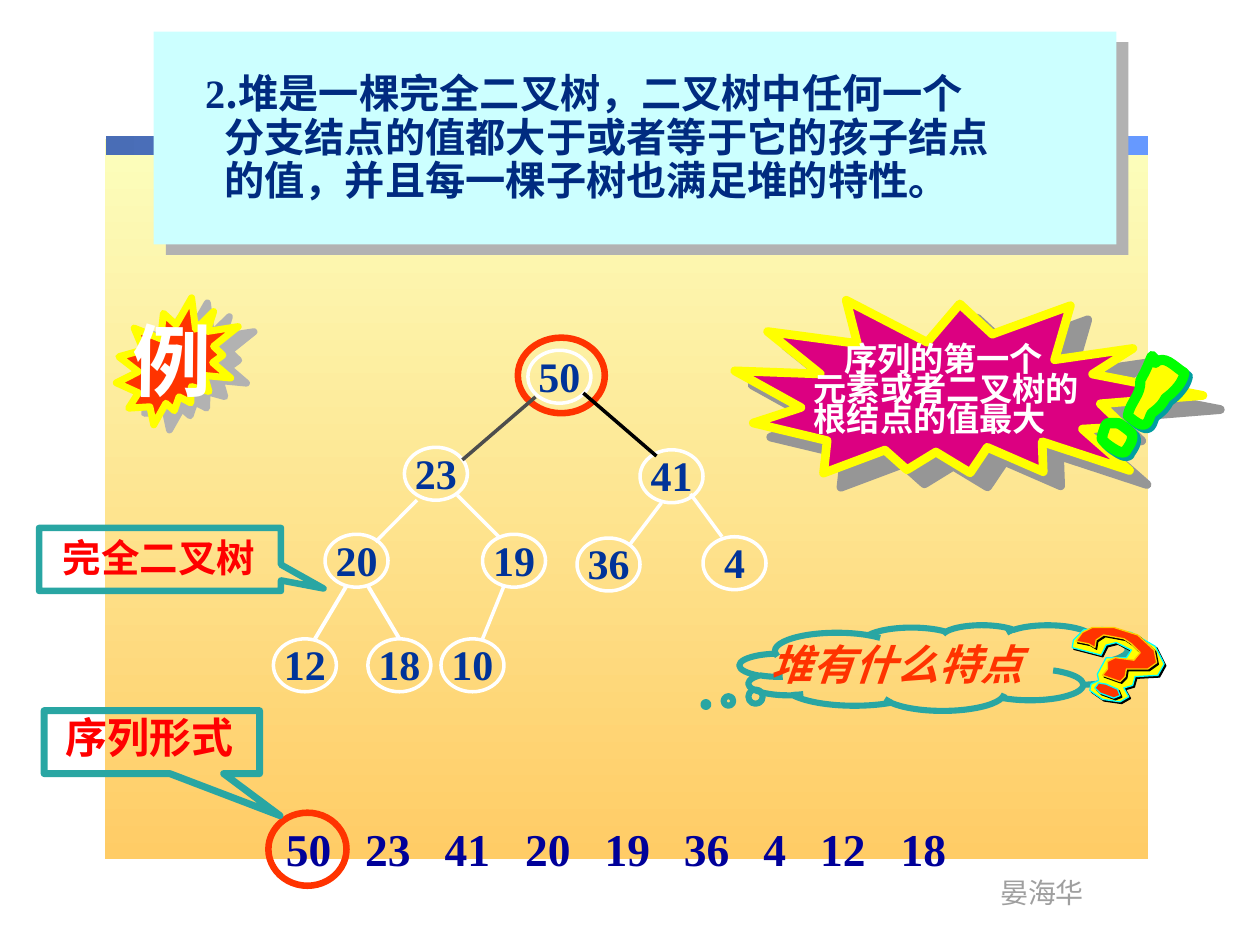
from dataclasses import dataclass
from typing import NamedTuple

from lxml import etree
from pptx import Presentation
from pptx.dml.color import RGBColor
from pptx.enum.shapes import MSO_CONNECTOR, MSO_SHAPE
from pptx.enum.text import PP_ALIGN
from pptx.oxml.ns import qn
from pptx.util import Inches, Pt

RECT = MSO_SHAPE.RECTANGLE
OVAL = MSO_SHAPE.OVAL
CLOUD = MSO_SHAPE.CLOUD_CALLOUT
WEDGE = MSO_SHAPE.RECTANGULAR_CALLOUT
BURST = MSO_SHAPE.EXPLOSION2
STRAIGHT = MSO_CONNECTOR.STRAIGHT
LEFT, MIDDLE = PP_ALIGN.LEFT, PP_ALIGN.CENTER

WHITE = RGBColor(255, 255, 255)
BLACK = RGBColor(0, 0, 0)
CREAM = RGBColor(0xFC, 0xFE, 0xBC)
SAND = RGBColor(0xFF, 0xCC, 0x66)
DENIM = RGBColor(0x49, 0x6D, 0xB6)
SKY = RGBColor(0x66, 0x99, 0xFF)
ICE = RGBColor(0xCC, 0xFF, 0xFF)
SILVER = RGBColor(0xB2, 0xB2, 0xB2)
GRAY = RGBColor(0x96, 0x96, 0x96)
PALE = RGBColor(0x9F, 0x9F, 0x9F)
COAL = RGBColor(0x4D, 0x4D, 0x4D)
NAVY = RGBColor(0, 0x2B, 0x80)
INK = RGBColor(0, 0, 0x99)
BLUE = RGBColor(0, 0x33, 0x99)
FLAME = RGBColor(0xFF, 0x33, 0)
RED = RGBColor(255, 0, 0)
TEAL = RGBColor(0x29, 0xA6, 0xA3)
DEEP = RGBColor(0, 0x9E, 0xA1)
YELLOW = RGBColor(255, 255, 0)
GOLD = RGBColor(0xFF, 0xCC, 0)
CYAN = RGBColor(0, 255, 255)
GREEN = RGBColor(0, 255, 0)
PINK = RGBColor(0xDC, 0, 0x81)

TIMES, NARROW, NOTO = "Times New Roman", "Arial Narrow", "Noto Sans CJK SC"


class Shade(NamedTuple):
    color: RGBColor
    gap: float
    angle: int


class Node(NamedTuple):
    label: str
    x: float
    y: float


class Edge(NamedTuple):
    x1: float
    y1: float
    x2: float
    y2: float
    color: RGBColor = WHITE
    width: float = 2


@dataclass
class Font:
    size: float
    color: RGBColor
    name: str = TIMES
    bold: bool = True
    slant: bool = False
    shade: bool = False


@dataclass
class Glyph:
    points: list
    fill: RGBColor
    line: RGBColor
    width: float
    shade: Shade
    curved: bool = False


def add_shade(props, shade: Shade):
    box = props.find(qn("a:effectLst"))
    if box is None:
        box = etree.Element(qn("a:effectLst"))
        props.find(qn("a:solidFill")).addnext(box)
    cast = etree.SubElement(box, qn("a:outerShdw"), blurRad="0", dist=str(Pt(shade.gap)),
                            dir=str(shade.angle * 60000), algn="ctr", rotWithShape="0")
    etree.SubElement(cast, qn("a:srgbClr"), val=str(shade.color))


def paint(shape, fill=None, line=None, width=1.0, shade=None):
    shape.shadow.inherit = False
    if fill is None:
        shape.fill.background()
    elif isinstance(fill, tuple) and not isinstance(fill, RGBColor):
        angle, *colors = fill
        shape.fill.gradient()
        shape.fill.gradient_angle = angle
        for stop, color in zip(shape.fill.gradient_stops, colors):
            stop.color.rgb = color
    else:
        shape.fill.solid()
        shape.fill.fore_color.rgb = fill
    if line is None:
        shape.line.fill.background()
    else:
        shape.line.color.rgb = line
        shape.line.width = Pt(width)
    if shade:
        add_shade(shape._element.spPr, shade)


def add_form(kind, at, fill=None, line=None, width=1.0, shade=None, turn=0.0, adjust=()):
    shape = slide.shapes.add_shape(kind, *map(Inches, at))
    for i, value in enumerate(adjust):
        shape.adjustments[i] = value
    shape.rotation = turn
    paint(shape, fill, line, width, shade)


def add_text(at, lines, font: Font, wrap=True, space=None, indents=(), align=LEFT,
             tabs=(), turn=0.0):
    box = slide.shapes.add_textbox(*map(Inches, at))
    box.rotation = turn
    frame = box.text_frame
    frame.word_wrap = wrap
    for i, line in enumerate(lines):
        para = frame.add_paragraph() if i else frame.paragraphs[0]
        para.alignment = align
        para.line_spacing = space
        props = para._p.get_or_add_pPr()
        if indents:
            props.set("marL", str(Inches(indents[i])))
            props.set("indent", "0")
        if tabs:
            stops = etree.SubElement(props, qn("a:tabLst"))
            for stop in tabs:
                etree.SubElement(stops, qn("a:tab"), pos=str(Inches(stop)), algn="l")
        for text, name in line:
            run = para.add_run()
            run.text = text
            run.font.size = Pt(font.size)
            run.font.bold = font.bold
            run.font.italic = font.slant
            run.font.color.rgb = font.color
            run.font.name = name or font.name
            if font.shade:
                add_shade(run._r.get_or_add_rPr(), Shade(BLACK, 2, 45))


def add_edge(edge: Edge):
    line = slide.shapes.add_connector(STRAIGHT, *map(Inches, edge[:4]))
    line.line.color.rgb = edge.color
    line.line.width = Pt(edge.width)
    etree.SubElement(line._element.spPr, qn("a:effectLst"))


def bend(points, steps=8):
    out = [points[0]]
    for i in range(0, len(points) - 1, 3):
        a, b, c, d = points[i:i + 4]
        for t in (n / steps for n in range(1, steps + 1)):
            u = 1 - t
            out.append(tuple(u**3 * p + 3 * u * u * t * q + 3 * u * t * t * r + t**3 * s
                             for p, q, r, s in zip(a, b, c, d)))
    return out


def add_glyph(glyph: Glyph):
    points = bend(glyph.points) if glyph.curved else glyph.points
    start, *rest = [(Inches(x), Inches(y)) for x, y in points]
    pen = slide.shapes.build_freeform(*start, scale=1.0)
    pen.add_line_segments(rest, close=True)
    paint(pen.convert_to_shape(), glyph.fill, glyph.line, glyph.width, glyph.shade)


DROP, GLOW = Shade(BLACK, 1.4, 45), Shade(DEEP, 2.8, 45)
QUERY = [
    Glyph([(8.78, 5.12), (8.86, 5.1), (8.98, 5.16), (8.94, 5.22), (8.78, 5.22), (8.71, 5.35),
           (8.72, 5.4), (8.66, 5.43), (8.65, 5.48), (8.75, 5.55), (8.89, 5.57), (8.96, 5.53),
           (8.92, 5.46), (8.99, 5.44), (9.01, 5.37), (9.19, 5.36), (9.24, 5.27), (9.17, 5.13),
           (8.98, 5.02), (8.75, 4.98), (8.6, 5), (8.52, 5.08), (8.51, 5.14), (8.74, 5.2)],
          YELLOW, CYAN, 0.75, DROP),
    Glyph([(8.54, 5.09), (8.64, 5.11), (8.69, 5.14), (8.7, 5.08), (8.76, 5.04), (8.92, 5.07),
           (8.98, 5.11), (9.05, 5.18), (9, 5.24), (8.85, 5.22), (8.79, 5.25), (8.79, 5.31),
           (8.75, 5.36), (8.89, 5.41), (8.93, 5.37), (8.94, 5.31), (9.03, 5.31), (9.11, 5.31),
           (9.18, 5.26), (9.16, 5.16), (9.03, 5.04), (8.84, 4.98), (8.67, 4.98), (8.59, 5.02)],
          FLAME, GOLD, 0.75, DROP),
    Glyph([(8.78, 5.43), (8.72, 5.42), (8.69, 5.46), (8.73, 5.5), (8.84, 5.54), (8.89, 5.52),
           (8.87, 5.47)], FLAME, CYAN, 0.75, DROP)]
BANG = [
    Glyph([(9.17, 2.88), (9.24, 2.81), (9.32, 2.91), (9.4, 2.96), (9.39, 3.02), (9.35, 3.07),
           (9.31, 3.11), (9.29, 3.13), (9.25, 3.16), (9.25, 3.16), (9.24, 3.18), (9.22, 3.21),
           (9.2, 3.23), (9.18, 3.25), (9.14, 3.28), (9.14, 3.28), (9.12, 3.31), (9.12, 3.36),
           (9.08, 3.37), (9.04, 3.38), (8.98, 3.32), (8.95, 3.3), (8.97, 3.19), (9.06, 3.13),
           (9.05, 3.02), (9.16, 2.83), (9.13, 2.77), (9.17, 2.88)],
          YELLOW, GREEN, 5.75, GLOW, True),
    Glyph([(8.88, 3.36), (8.76, 3.36), (8.79, 3.34), (8.75, 3.45), (8.75, 3.47), (8.74, 3.48),
           (8.75, 3.49), (8.77, 3.52), (8.82, 3.55), (8.82, 3.55), (8.85, 3.57), (8.88, 3.59),
           (8.91, 3.59), (8.93, 3.59), (8.94, 3.58), (8.94, 3.57), (8.97, 3.53), (9, 3.48),
           (8.98, 3.44), (8.97, 3.42), (8.88, 3.36), (8.88, 3.36)],
          YELLOW, GREEN, 6, GLOW, True)]
NODES = [Node("50", 4.19, 2.78), Node("23", 3.21, 3.55), Node("41", 5.08, 3.57),
         Node("20", 2.58, 4.24), Node("19", 3.83, 4.24), Node("36", 4.58, 4.27),
         Node("4", 5.58, 4.26), Node("12", 2.17, 5.07), Node("18", 2.92, 5.07),
         Node("10", 3.5, 5.07)]
EDGES = [Edge(4.25, 3.15, 3.67, 3.65, COAL), Edge(4.63, 3.12, 5.21, 3.62, BLACK),
         Edge(3.31, 3.97, 2.98, 4.3), Edge(3.63, 3.93, 3.96, 4.26),
         Edge(2.75, 4.65, 2.5, 5.07, width=2.25), Edge(2.92, 4.65, 3.17, 5.07, width=2.25),
         Edge(5.25, 3.99, 5, 4.32), Edge(5.48, 3.92, 5.73, 4.26), Edge(4, 4.65, 3.83, 5.07)]

deck = Presentation()
deck.slide_width, deck.slide_height = Inches(10), Inches(7.5)
slide = deck.slides.add_slide(deck.slide_layouts[6])

add_form(RECT, (0.83, 1.1, 8.28, 5.72), (270, CREAM, SAND))
add_form(RECT, (0.84, 1.08, 8.27, 0.15), (0, DENIM, SKY))
add_text((7.84, 6.9, 0.87, 0.37), [[("晏海华", None)]], Font(16, PALE, NARROW, False), False)
add_form(RECT, (1.22, 0.25, 7.64, 1.69), ICE, shade=Shade(SILVER, 9.2, 41))
add_text((1.39, 0.54, 7.86, 1.14),
         [[("2", TIMES), (".堆是一棵完全二叉树，二叉树中任何一个", None)],
          [("分支结点的值都大于或者等于它的孩子结点", None)],
          [("的值，并且每一棵子树也满足堆的特性。", None)]],
         Font(23, NAVY, NOTO), space=0.9, indents=(0.14, 0.29, 0.29))
add_text((2.17, 6.47, 6.17, 0.53), [[("\t".join("50 23 41 20 19 36 4 12 18".split()), None)]],
         Font(26, INK), tabs=(0.63, 1.26, 1.9, 2.53, 3.16, 3.79, 4.24, 4.88))
for ring in ((2.13, 6.45, 0.62, 0.58), (4.11, 2.68, 0.69, 0.6)):
    add_form(OVAL, ring, line=FLAME, width=3.75)

add_form(CLOUD, (5.87, 4.96, 3.15, 0.68), line=TEAL, width=3.5, adjust=(-0.585, 0.429))
add_text((6.02, 5.02, 3.41, 0.5), [[("堆有什么特点", None)]],
         Font(24, FLAME, slant=True, shade=True))
for glyph in QUERY:
    add_glyph(glyph)

for at, adjust, width, spot, text, size in (
        ((0.31, 4.19, 1.92, 0.5), (0.676, 0.462), 3.75, (0.4, 4.19, 1.83, 0.47), "完全二叉树", 22),
        ((0.35, 5.64, 1.71, 0.5), (0.595, 1.167), 4, (0.42, 5.6, 1.83, 0.5), "序列形式", 24)):
    add_form(WEDGE, at, line=TEAL, width=width, adjust=adjust)
    add_text(spot, [[(text, None)]], Font(size, RED, shade=True))

for node in NODES:
    add_form(OVAL, (node.x, node.y, 0.5, 0.42), line=WHITE, width=2)
for edge in EDGES:
    add_edge(edge)
for node in NODES:
    wide = 0.21 + 0.16 * len(node.label)
    add_text((node.x + 0.25 - wide / 2, node.y - 0.05, wide, 0.5), [[(node.label, None)]],
             Font(24, BLUE), False, align=MIDDLE)

add_form(BURST, (0.9, 2.39, 1.03, 0.94), FLAME, YELLOW, 4, Shade(SILVER, 9.5, 18), 350)
add_text((0.96, 2.43, 0.83, 0.85), [[("例", None)]], Font(45, WHITE, shade=True), False, turn=0.6)
add_form(BURST, (5.83, 2.29, 3.69, 1.66), PINK, YELLOW, 5, Shade(GRAY, 12.8, 39), 10.4)
add_text((6.36, 2.71, 2.82, 0.81),
         [[(line, None)] for line in ("序列的第一个", "元素或者二叉树的", "根结点的值最大")],
         Font(19, WHITE, NARROW, shade=True), space=0.75, indents=(0.24, 0, 0))
for glyph in BANG:
    add_glyph(glyph)

deck.save("out.pptx")
